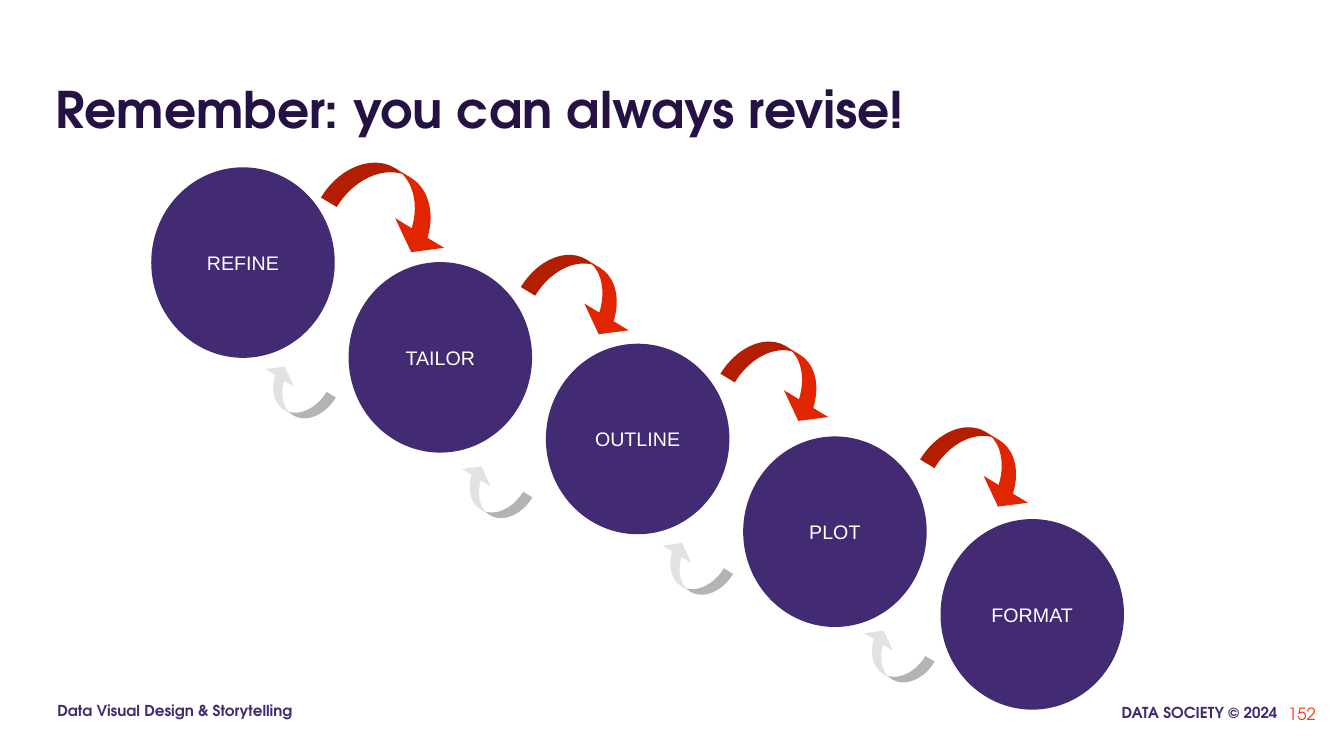
from dataclasses import dataclass
from pptx import Presentation, util as u
from pptx.dml.color import RGBColor
from pptx.enum import shapes, text


@dataclass(frozen=True)
class Theme:
    purple: str = "422B72"
    title: str = "261144"
    orange: str = "FF350F"
    red: str = "E02500"
    grey: str = "E2E2E2"
    white: str = "FFFFFF"
    heading_font: str = "TeX Gyre Adventor"
    body_font: str = "Arial"
    title_size: float = 36
    step_size: float = 14
    number_size: float = 12
    footer_size: float = 10.8


theme = Theme()


def write(box, wording, size, color, font, bold, align, anchor, pad=(0.1, 0.05)):
    frame = box.text_frame
    across, down = map(u.Inches, pad)
    frame_format = {
        "word_wrap": True,
        "vertical_anchor": anchor,
        "margin_left": across,
        "margin_right": across,
        "margin_top": down,
        "margin_bottom": down,
    }
    for name, value in frame_format.items():
        setattr(frame, name, value)
    para = frame.paragraphs[0]
    para.alignment = align
    span = para.add_run()
    span.text = wording
    for name, value in {"name": font, "size": u.Pt(size), "bold": bold}.items():
        setattr(span.font, name, value)
    span.font.color.rgb = RGBColor.from_string(color)


def add_filled(page, kind, place, color):
    shape = page.shapes.add_shape(kind, *map(u.Inches, place))
    shape.shadow.inherit = False
    shape.fill.solid()
    shape.fill.fore_color.rgb = RGBColor.from_string(color)
    shape.line.fill.background()
    return shape


deck = Presentation()
deck.slide_width = u.Inches(13.33)
deck.slide_height = u.Inches(7.5)
page = deck.slides.add_slide(deck.slide_layouts[6])

left, center, right = text.PP_ALIGN.LEFT, text.PP_ALIGN.CENTER, text.PP_ALIGN.RIGHT
top, middle, bottom = text.MSO_ANCHOR.TOP, text.MSO_ANCHOR.MIDDLE, text.MSO_ANCHOR.BOTTOM
footer_pad = (0.12, 0.12)
regular_pad = (0.1, 0.05)

labels = [
    ("DATA SOCIETY © 2024", (10.57, 6.89, 2.22, 0.42),
     theme.footer_size, theme.purple, True, right, top, footer_pad),
    ("Data Visual Design & Storytelling", (0.45, 6.87, 2.74, 0.42),
     theme.footer_size, theme.purple, True, left, top, footer_pad),
    ("152", (12.35, 6.8, 0.8, 0.57),
     theme.number_size, theme.orange, False, right, middle, regular_pad),
    ("Remember: you can always revise!", (0.45, 0.58, 12.42, 0.84),
     theme.title_size, theme.title, True, left, bottom, regular_pad),
]
for wording, place, size, color, bold, align, anchor, pad in labels:
    box = page.shapes.add_textbox(*map(u.Inches, place))
    write(box, wording, size, color, theme.heading_font, bold, align, anchor, pad)

steps = [("REFINE", 1.66), ("TAILOR", 2.6), ("OUTLINE", 3.41), ("PLOT", 4.33), ("FORMAT", 5.15)]
for index, (step, step_top) in enumerate(steps):
    circle = add_filled(page, shapes.MSO_SHAPE.OVAL,
                        (1.5 + 1.957 * index, step_top, 1.82, 1.89), theme.purple)
    write(circle, step, theme.step_size, theme.white, theme.body_font, False, center, middle)

forward = [(3.25, 1.72, 1.33, 0.63)]
forward += [(5.23 + 1.98 * index, arrow_top, 1.16, 0.57)
            for index, arrow_top in enumerate((2.62, 3.48, 4.33))]
back = [(arrow_left, arrow_top, 0.76, 0.37)
        for arrow_left, arrow_top in ((2.53, 3.72), (4.48, 4.71), (6.47, 5.47), (8.47, 6.34))]
for places, color, rotation in ((forward, theme.red, 31.2), (back, theme.grey, 211.2)):
    for place in places:
        arrow = add_filled(page, shapes.MSO_SHAPE.CURVED_DOWN_ARROW, place, color)
        arrow.rotation = rotation
        for index, amount in enumerate((0.291, 0.901, 0.327)):
            arrow.adjustments[index] = amount

deck.save("out.pptx")
